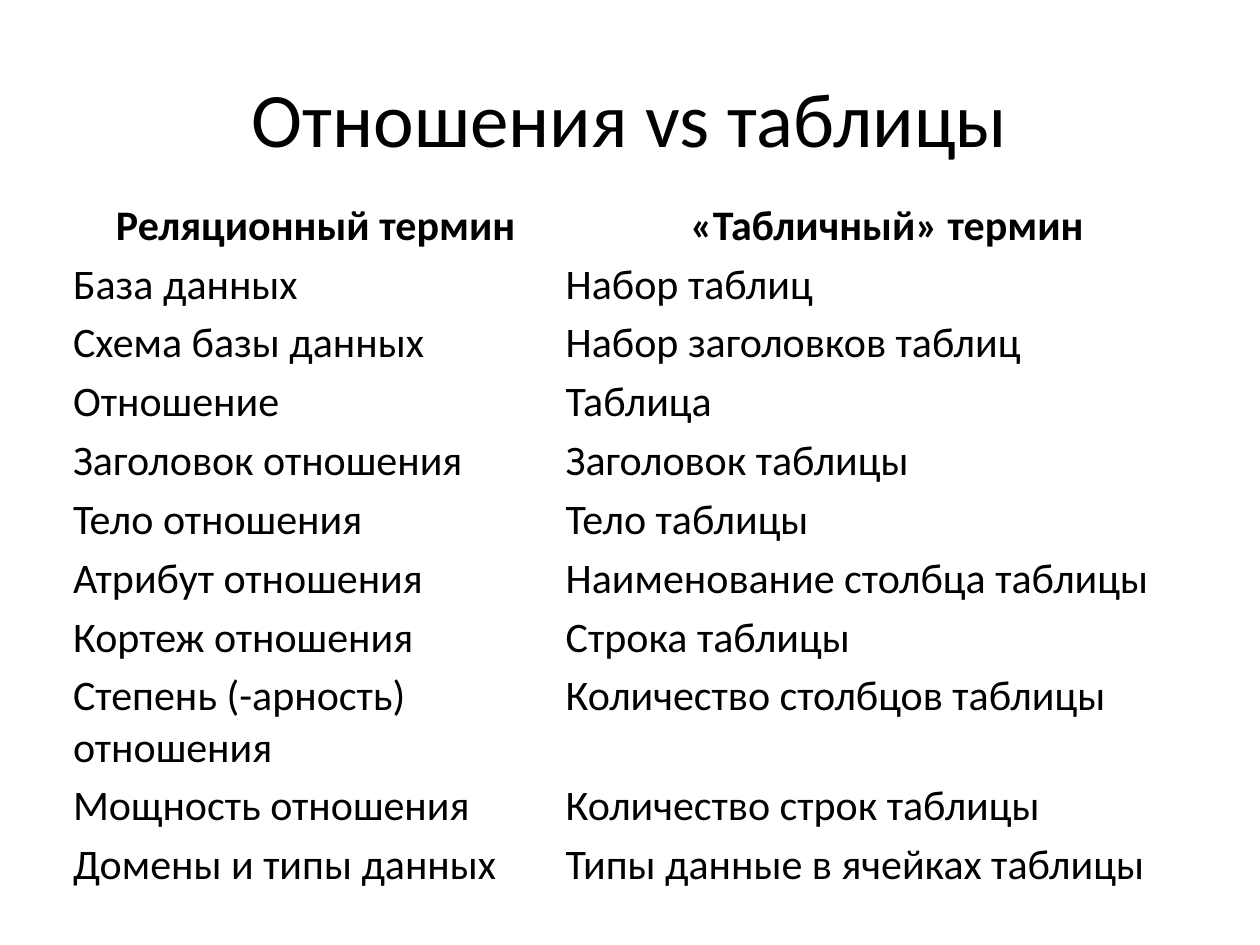
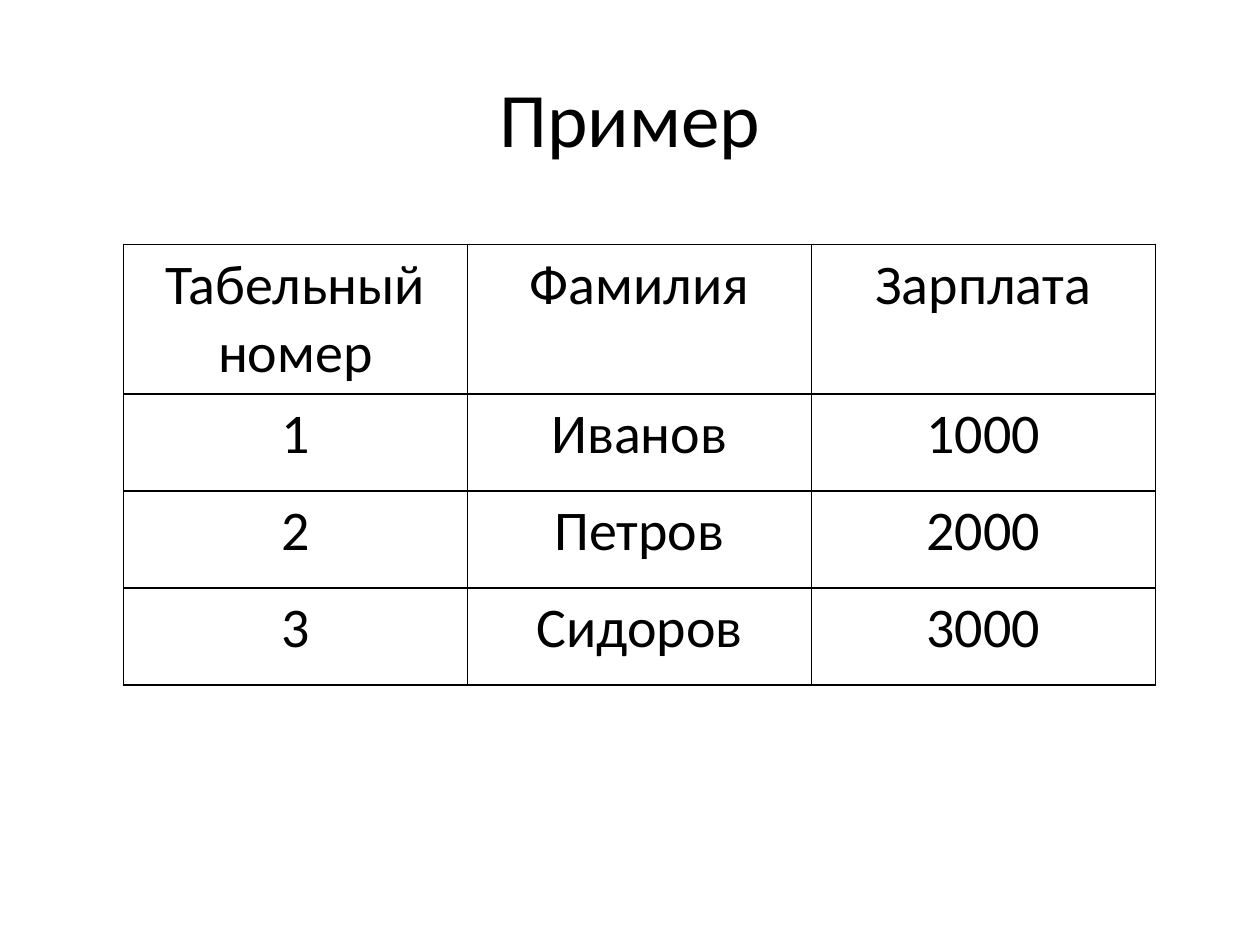
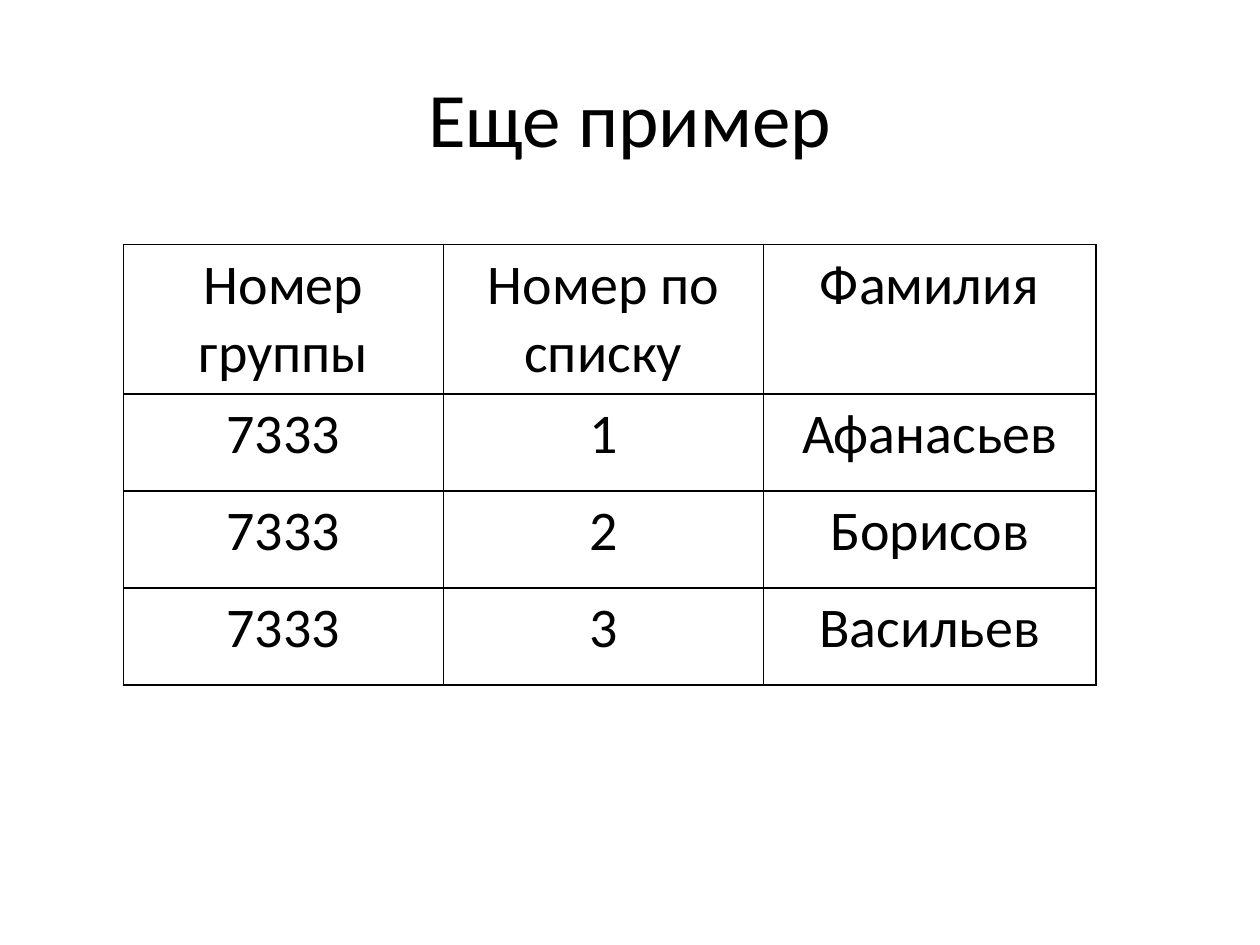
from dataclasses import dataclass

from lxml import etree
from pptx import Presentation
from pptx import util as u
from pptx.dml import color
from pptx.enum import text
from pptx.oxml import ns


@dataclass(frozen=True)
class Theme:
    """Colours, font and type sizes shared by the slides."""
    ink: str = "000000"
    font: str = "Calibri"
    title_size: int = 44
    example_size: int = 32
    terms_size: int = 24
    border_width: float = 1
    tight_margin: float = 0.03


class Deck:
    """Holds the theme and the current slide, on a grid of 100 columns and 75 rows."""

    def __init__(self, theme):
        """Start an empty presentation."""
        self.theme = theme
        self.presentation = Presentation()
        self.presentation.slide_width = u.Inches(10)
        self.presentation.slide_height = u.Inches(7.5)
        self.slide = None

    def across(self, columns):
        """Turn grid columns into a length."""
        return round(self.presentation.slide_width * columns / 100)

    def down(self, rows):
        """Turn grid rows into a length."""
        return round(self.presentation.slide_height * rows / 75)

    def add_text(self, frame, words, size, bold=False, centred=True):
        """Put one styled run into a text frame."""
        paragraph = frame.paragraphs[0]
        paragraph.alignment = text.PP_ALIGN.CENTER if centred else text.PP_ALIGN.LEFT
        run = paragraph.add_run()
        run.text = words
        run.font.name = self.theme.font
        run.font.size = u.Pt(size)
        run.font.bold = bold
        run.font.color.rgb = color.RGBColor.from_string(self.theme.ink)

    def add_slide(self, title):
        """Begin a slide with its title."""
        self.slide = self.presentation.slides.add_slide(self.presentation.slide_layouts[5])
        shape = self.slide.shapes.title
        shape.left, shape.top = self.across(5), self.down(3)
        shape.width, shape.height = self.across(90), self.down(12.5)
        shape.text_frame.vertical_anchor = text.MSO_ANCHOR.MIDDLE
        self.add_text(shape.text_frame, title, self.theme.title_size)

    def add_border(self, cell):
        """Draw the four edges of a cell."""
        properties = cell._tc.get_or_add_tcPr()
        for edge in ("a:lnL", "a:lnR", "a:lnT", "a:lnB"):
            line = etree.SubElement(properties, ns.qn(edge), w=str(u.Pt(self.theme.border_width)))
            fill = etree.SubElement(line, ns.qn("a:solidFill"))
            etree.SubElement(fill, ns.qn("a:srgbClr"), val=self.theme.ink)

    def add_table(self, left, top, widths, row_height, rows):
        """Add a plain table and return it."""
        table = self.slide.shapes.add_table(
            len(rows), len(widths), self.across(left), self.down(top),
            self.across(sum(widths)), self.down(row_height * len(rows))).table
        table.first_row = table.horz_banding = False
        for column, width in zip(table.columns, widths):
            column.width = self.across(width)
        for row in table.rows:
            row.height = self.down(row_height)
        return table

    def add_terms_table(self, rows):
        """Add a borderless table with a bold centred header."""
        table = self.add_table(5.5, 15.6, (39.1, 51.6), 4.6, rows)
        margin = u.Inches(self.theme.tight_margin)
        for row_index, row in enumerate(rows):
            header = row_index == 0
            for column_index, words in enumerate(row):
                cell = table.cell(row_index, column_index)
                cell.margin_left = cell.margin_right = margin
                cell.margin_top = cell.margin_bottom = margin
                cell.fill.background()
                self.add_text(cell.text_frame, words, self.theme.terms_size, header, header)

    def add_example_table(self, widths, rows):
        """Add a bordered table with centred text."""
        table = self.add_table(9.8, 19.4, widths, 7.7, rows)
        for row_index, row in enumerate(rows):
            for column_index, words in enumerate(row):
                cell = table.cell(row_index, column_index)
                self.add_border(cell)
                cell.fill.background()
                self.add_text(cell.text_frame, words, self.theme.example_size)


def main():
    """Build the three slides."""
    deck = Deck(Theme())

    deck.add_slide("Отношения vs таблицы")
    deck.add_terms_table([
        ("Реляционный термин", "«Табличный» термин"),
        ("База данных", "Набор таблиц"),
        ("Схема базы данных", "Набор заголовков таблиц"),
        ("Отношение", "Таблица"),
        ("Заголовок отношения", "Заголовок таблицы"),
        ("Тело отношения", "Тело таблицы"),
        ("Атрибут отношения", "Наименование столбца таблицы"),
        ("Кортеж отношения", "Строка таблицы"),
        ("Степень (-арность) отношения", "Количество столбцов таблицы"),
        ("Мощность отношения", "Количество строк таблицы"),
        ("Домены и типы данных", "Типы данные в ячейках таблицы"),
    ])

    deck.add_slide("Пример")
    deck.add_example_table((27.3, 27.3, 27.3), [
        ("Табельный номер", "Фамилия", "Зарплата"),
        ("1", "Иванов", "1000"),
        ("2", "Петров", "2000"),
        ("3", "Сидоров", "3000"),
    ])

    deck.add_slide("Еще пример")
    deck.add_example_table((25.4, 25.4, 26.4), [
        ("Номер группы", "Номер по списку", "Фамилия"),
        ("7333", "1", "Афанасьев"),
        ("7333", "2", "Борисов"),
        ("7333", "3", "Васильев"),
    ])

    deck.presentation.save("out.pptx")


if __name__ == "__main__":
    main()
